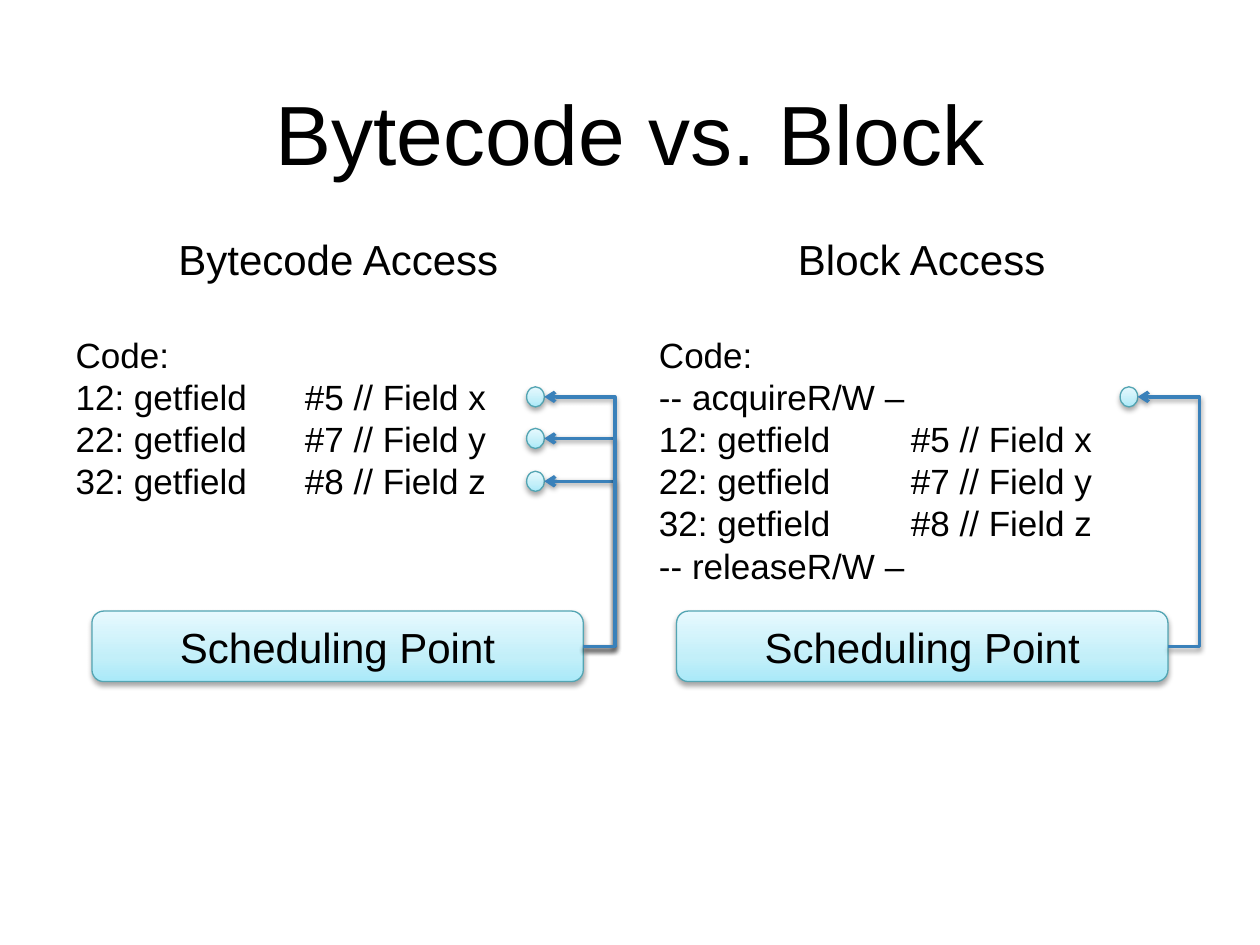
from copy import deepcopy
from dataclasses import dataclass

from lxml import etree
from pptx import Presentation
from pptx.dml.color import RGBColor
from pptx.enum import shapes, text
from pptx.oxml import ns
from pptx.util import Inches, Pt

BLACK = RGBColor(0x00, 0x00, 0x00)
EDGE = RGBColor(0x53, 0xA5, 0xB3)
WIRE = RGBColor(0x3A, 0x81, 0xBA)
BLEND = [
    (0, RGBColor(0xA9, 0xE9, 0xF9)),
    (0.35, RGBColor(0xC3, 0xEF, 0xF9)),
    (1, RGBColor(0xE7, 0xF9, 0xFE)),
]

BOX_TOP, BOX_W, BOX_H = 4.85, 3.9, 0.56
DOT_W, DOT_H = 0.14, 0.16
REACH = 0.25  # from the box's right side out to the vertical wire


@dataclass
class Panel:
    left: float
    head: str
    code: list[str]
    tab: float
    box: float
    dot: float
    rows: list[float]


FIELDS = [
    f"{num}: getfield\t#{ref} // Field {name}"
    for num, ref, name in [(12, 5, "x"), (22, 7, "y"), (32, 8, "z")]
]
PANELS = [
    Panel(0.5, "Bytecode Access", ["Code:", *FIELDS],
          1.82, 0.73, 4.18, [3.74, 3.4, 3.07]),
    Panel(5.13, "Block Access",
          ["Code:", "-- acquireR/W –", *FIELDS, "-- releaseR/W –"],
          2.0, 5.37, 8.89, [3.07]),
]


def add_node(parent, tag: str, **attrs):
    return etree.SubElement(parent, ns.qn(tag), attrs)


def place(shape, left: float, top: float, width: float, height: float) -> None:
    shape.left, shape.top = Inches(left), Inches(top)
    shape.width, shape.height = Inches(width), Inches(height)


def write(para, words: str, size: float, align=text.PP_ALIGN.LEFT) -> None:
    para.alignment = align
    run = para.add_run()
    run.text = words
    run.font.name, run.font.size = "Arial", Pt(size)
    run.font.color.rgb = BLACK


def set_frame(frame, inset: float, anchor) -> None:
    frame.margin_left = frame.margin_right = Inches(inset)
    frame.margin_top = frame.margin_bottom = Inches(inset)
    frame.vertical_anchor = anchor
    frame.word_wrap = True
    frame.auto_size = text.MSO_AUTO_SIZE.NONE


def add_shadow(shape, dist: float, alpha: int) -> None:
    props = shape._element.spPr
    for old in props.findall(ns.qn("a:effectLst")):
        props.remove(old)
    cast = add_node(add_node(props, "a:effectLst"), "a:outerShdw",
                    blurRad=str(Pt(3)), dist=str(Pt(dist)),
                    dir="5400000", rotWithShape="0")
    tint = add_node(cast, "a:srgbClr", val=str(BLACK))
    add_node(tint, "a:alpha", val=str(alpha * 1000))


def add_glossy(slide, kind, left: float, top: float, width: float, height: float):
    """Add a pale blue shape with a gradient, a thin edge and a soft shadow."""
    shape = slide.shapes.add_shape(
        kind, Inches(left), Inches(top), Inches(width), Inches(height))
    shape.fill.gradient()
    shape.fill.gradient_angle = 90
    stops = shape._element.spPr.find(".//" + ns.qn("a:gsLst"))
    stops.insert(1, deepcopy(stops[0]))
    for stop, (pos, color) in zip(shape.fill.gradient_stops, BLEND):
        stop.position = pos
        stop.color.rgb = color
    shape.line.color.rgb, shape.line.width = EDGE, Pt(0.75)
    add_shadow(shape, 1.8, 35)
    return shape


def add_wire(slide, start: float, low: float, end: float, high: float) -> None:
    """Run an arrow out to the right, up, and back left to a dot."""
    wire = slide.shapes.add_connector(
        shapes.MSO_CONNECTOR.ELBOW,
        Inches(start), Inches(low), Inches(end), Inches(high))
    wire.line.color.rgb, wire.line.width = WIRE, Pt(2)
    add_node(wire.line._get_or_add_ln(), "a:tailEnd", type="arrow")
    bend = round(-REACH / (start - end) * 100000)
    guides = wire._element.spPr.find(".//" + ns.qn("a:avLst"))
    add_node(guides, "a:gd", name="adj1", fmla=f"val {bend}")
    add_shadow(wire, 1.6, 38)


def fill_body(body, panel: Panel) -> None:
    place(body, panel.left, 1.75, 4.37, 5.43)
    frame = body.text_frame
    set_frame(frame, 0.1, text.MSO_ANCHOR.TOP)
    for num, words in enumerate([panel.head, *panel.code]):
        para = frame.add_paragraph() if num else frame.paragraphs[0]
        para.space_before = Pt(28.8 if num == 1 else 0)
        props = para._p.get_or_add_pPr()
        props.set("marL", "0")
        props.set("indent", "0")
        props.set("defTabSz", str(Inches(panel.tab)))
        add_node(props, "a:buNone")
        if num:
            write(para, words, 20)
        else:
            write(para, words, 24, text.PP_ALIGN.CENTER)


def add_flow(slide, panel: Panel) -> None:
    """Add the scheduling box, its dots and the wires between them."""
    box = add_glossy(slide, shapes.MSO_SHAPE.ROUNDED_RECTANGLE,
                     panel.box, BOX_TOP, BOX_W, BOX_H)
    set_frame(box.text_frame, 0.05, text.MSO_ANCHOR.MIDDLE)
    write(box.text_frame.paragraphs[0], "Scheduling Point", 24,
          text.PP_ALIGN.CENTER)
    for top in panel.rows:
        add_glossy(slide, shapes.MSO_SHAPE.OVAL, panel.dot, top, DOT_W, DOT_H)
    for top in panel.rows:
        add_wire(slide, panel.box + BOX_W, BOX_TOP + BOX_H / 2,
                 panel.dot + DOT_W, top + DOT_H / 2)


def main() -> None:
    deck = Presentation()
    deck.slide_width, deck.slide_height = Inches(10), Inches(7.5)
    slide = deck.slides.add_slide(deck.slide_layouts.get_by_name("Two Content"))

    title = slide.shapes.title
    place(title, 0.5, 0.3, 9, 1.25)
    set_frame(title.text_frame, 0.1, text.MSO_ANCHOR.BOTTOM)
    write(title.text_frame.paragraphs[0], "Bytecode vs. Block", 48,
          text.PP_ALIGN.CENTER)

    for num, panel in enumerate(PANELS, 1):
        fill_body(slide.placeholders[num], panel)
        add_flow(slide, panel)
    deck.save("out.pptx")


if __name__ == "__main__":
    main()
